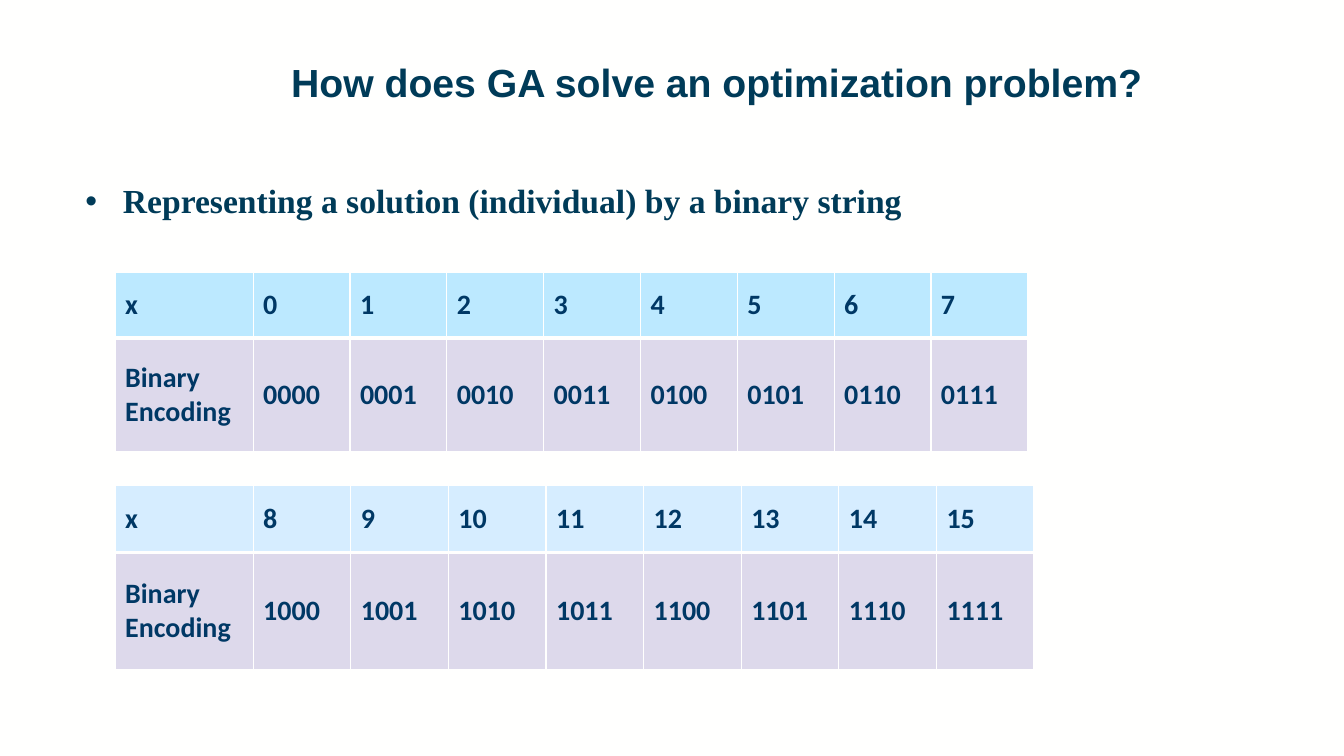
from lxml import etree
from pptx import Presentation
from pptx.dml.color import RGBColor
from pptx.enum import text as t
from pptx.oxml import ns
from pptx.util import Cm, Pt

BACKGROUND = "FFFFFE"
HEADING_COLOR = "003B58"
TABLE_COLOR = "003865"
ENCODING_FILL = "DDD9EB"


def color(hex_string):
    return RGBColor.from_string(hex_string)


def write(frame, content, size, font, hex_color, anchor=t.MSO_ANCHOR.MIDDLE,
          line_spacing=None, bullet_indent=None):
    """Fill a text frame or table cell with one bold paragraph."""
    frame.word_wrap = True
    frame.vertical_anchor = anchor
    paragraph = frame.paragraphs[0]
    if bullet_indent:
        add_bullet(paragraph, bullet_indent)
    if line_spacing:
        paragraph.line_spacing = line_spacing
    run = paragraph.add_run()
    run.text = content
    run.font.size = Pt(size)
    run.font.name = font
    run.font.bold = True
    run.font.color.rgb = color(hex_color)


def add_bullet(paragraph, indent):
    properties = paragraph._p.get_or_add_pPr()
    properties.set("marL", str(indent))
    properties.set("indent", str(-indent))
    etree.SubElement(properties, ns.qn("a:buFont"), typeface="Arial")
    etree.SubElement(properties, ns.qn("a:buChar"), char="•")


def add_text(slide, left, top, width, height, content, **text_format):
    box = slide.shapes.add_textbox(Cm(left), Cm(top), Cm(width), Cm(height))
    write(box.text_frame, content, **text_format)


def set_borders(cell, **widths):
    """Draw cell borders, widths in points keyed by side: L, R, T, B."""
    properties = cell._tc.get_or_add_tcPr()
    for side, width in widths.items():
        line = etree.SubElement(properties, ns.qn(f"a:ln{side}"), w=str(Pt(width)))
        fill = etree.SubElement(line, ns.qn("a:solidFill"))
        etree.SubElement(fill, ns.qn("a:srgbClr"), val=BACKGROUND)


def add_encoding_table(slide, top, numbers, column_width, row_heights, header_fill):
    """Add a table of numbers above their four-digit binary codes."""
    rows = [
        ["x"] + [str(number) for number in numbers],
        ["Binary Encoding"] + [f"{number:04b}" for number in numbers],
    ]
    widths = [3.48] + [column_width] * len(numbers)
    table = slide.shapes.add_table(
        len(rows), len(widths), Cm(2.9), Cm(top), Cm(sum(widths)), Cm(sum(row_heights))
    ).table
    for column, width in zip(table.columns, widths):
        column.width = Cm(width)
    fills = [header_fill, ENCODING_FILL]
    borders = [dict(L=1, R=1, T=1, B=3), dict(L=1, R=1, T=3, B=1)]
    for r, values in enumerate(rows):
        table.rows[r].height = Cm(row_heights[r])
        for c, value in enumerate(values):
            cell = table.cell(r, c)
            set_borders(cell, **borders[r])
            cell.fill.solid()
            cell.fill.fore_color.rgb = color(fills[r])
            write(cell.text_frame, value, size=20, font="Calibri", hex_color=TABLE_COLOR)
            cell.vertical_anchor = t.MSO_ANCHOR.MIDDLE


def main():
    presentation = Presentation()
    presentation.slide_width = Cm(33.87)
    presentation.slide_height = Cm(19.05)
    slide = presentation.slides.add_slide(presentation.slide_layouts[6])
    slide.background.fill.solid()
    slide.background.fill.fore_color.rgb = color(BACKGROUND)

    add_text(slide, 7.09, 1.47, 25.58, 2.46, "How does GA solve an optimization problem?",
             size=28, font="Arial", hex_color=HEADING_COLOR,
             anchor=t.MSO_ANCHOR.TOP, line_spacing=0.9)
    add_text(slide, 1.9, 3.96, 21.64, 2.31,
             "Representing a solution (individual) by a binary string",
             size=24, font="Times New Roman", hex_color=HEADING_COLOR,
             line_spacing=0.9, bullet_indent=Cm(0.95))
    add_encoding_table(slide, 6.86, range(8), 2.44, [1.65, 2.87], "BCE9FF")
    add_encoding_table(slide, 12.22, range(8, 16), 2.46, [1.7, 2.95], "D6EDFF")
    presentation.save("out.pptx")


if __name__ == "__main__":
    main()
